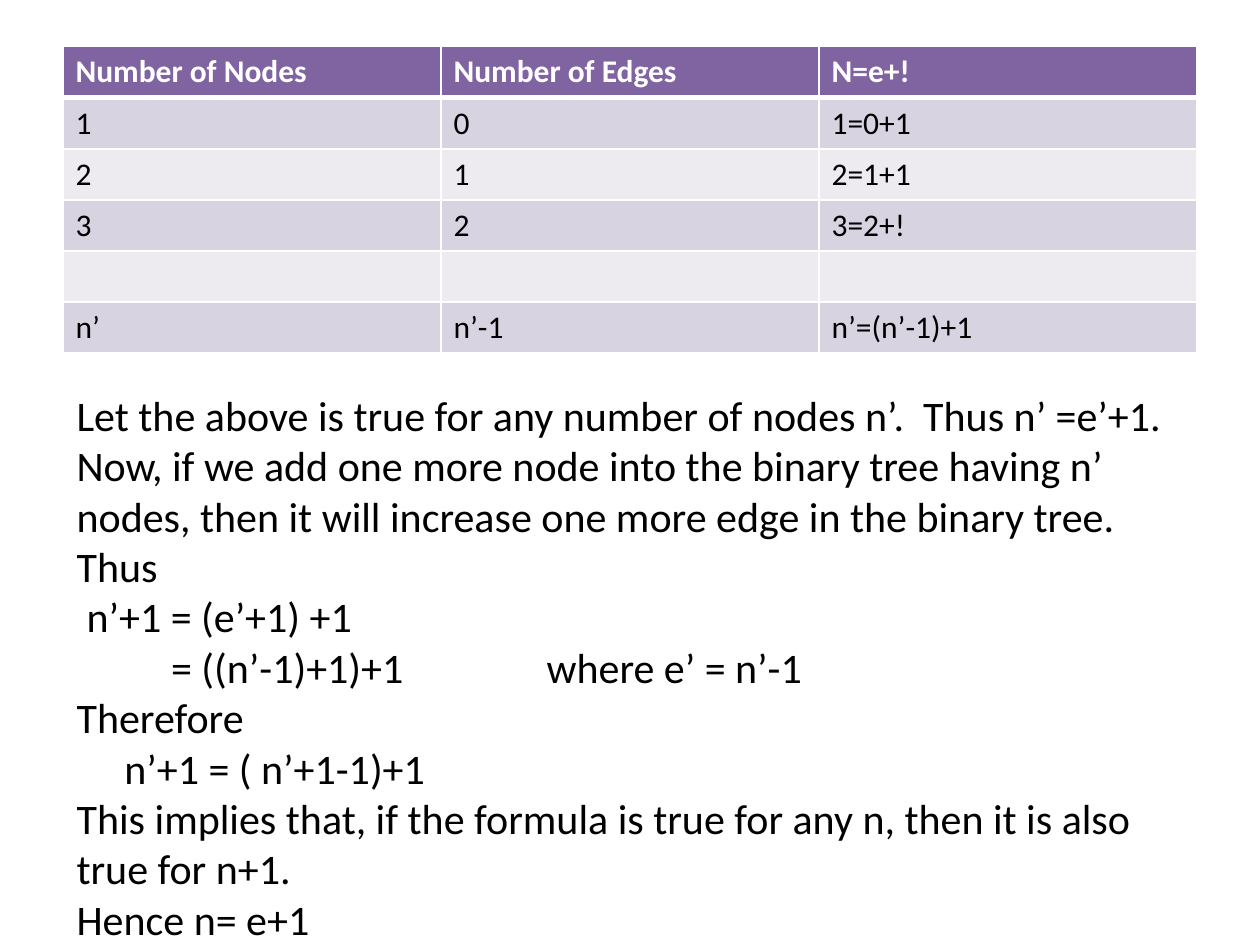
from lxml import etree
from pptx import Presentation
from pptx.dml.color import RGBColor
from pptx.enum.text import MSO_AUTO_SIZE
from pptx.oxml.ns import qn
from pptx.util import Inches, Pt

FIT_SHAPE = MSO_AUTO_SIZE.SHAPE_TO_FIT_TEXT
FONT = "Calibri"
COLORS = {
    "header": "8064A2",
    "odd": "D8D3E0",
    "even": "EDEAF0",
    "white": "FFFFFF",
    "black": "000000",
}


def add_text(paragraph, text, size, color, bold=False):
    run = paragraph.add_run()
    run.text = text
    run.font.name = FONT
    run.font.size = Pt(size)
    run.font.bold = bold
    run.font.color.rgb = RGBColor.from_string(COLORS[color])


def add_border(cell, side, width):
    line = etree.SubElement(cell._tc.get_or_add_tcPr(), qn(f"a:ln{side}"), w=str(Pt(width)))
    fill = etree.SubElement(line, qn("a:solidFill"))
    etree.SubElement(fill, qn("a:srgbClr"), val=COLORS["white"])


prs = Presentation()
prs.slide_width = Inches(10)
prs.slide_height = Inches(7.5)
slide = prs.slides.add_slide(prs.slide_layouts[6])

node_counts = [
    ["Number of Nodes", "Number of Edges", "N=e+!"],
    ["1", "0", "1=0+1"],
    ["2", "1", "2=1+1"],
    ["3", "2", "3=2+!"],
    ["", "", ""],
    ["n’", "n’-1", "n’=(n’-1)+1"],
]
table = slide.shapes.add_table(
    len(node_counts), 3, Inches(0.5), Inches(0.37), Inches(9), Inches(2.43)
).table

for row_index, values in enumerate(node_counts):
    is_header = row_index == 0
    band = "header" if is_header else "odd" if row_index % 2 else "even"
    for column_index, value in enumerate(values):
        cell = table.cell(row_index, column_index)
        add_border(cell, "L", 1)
        add_border(cell, "R", 1)
        add_border(cell, "T", 3 if row_index == 1 else 1)
        add_border(cell, "B", 3 if is_header else 1)
        cell.fill.solid()
        cell.fill.fore_color.rgb = RGBColor.from_string(COLORS[band])
        if value:
            add_text(cell.text_frame.paragraphs[0], value, 18,
                     "white" if is_header else "black", is_header)

proof_steps = [
    ("Let the above is true for any number of nodes n’.  Thus n’ =e’+1.", []),
    ("Now, if we add one more node into the binary tree having n’ nodes, "
     "then it will increase one more edge in the binary tree.  Thus", []),
    ("\tn’+1 = (e’+1) +1", [0.08]),
    ("\t= ((n’-1)+1)+1\twhere e’ = n’-1", [0.75, 3.73]),
    ("Therefore", []),
    ("\tn’+1 = ( n’+1-1)+1", [0.38]),
    ("This implies that, if the formula is true for any n, "
     "then it is also true for n+1.", []),
    ("Hence n= e+1", []),
]
proof = slide.shapes.add_textbox(Inches(0.51), Inches(3.04), Inches(9.06), Inches(4.54)).text_frame
proof.word_wrap = True
proof.auto_size = FIT_SHAPE

for step_index, (step, tab_stops) in enumerate(proof_steps):
    paragraph = proof.add_paragraph() if step_index else proof.paragraphs[0]
    if tab_stops:
        tab_list = etree.SubElement(paragraph._p.get_or_add_pPr(), qn("a:tabLst"))
        for stop in tab_stops:
            etree.SubElement(tab_list, qn("a:tab"), pos=str(Inches(stop)), algn="l")
    add_text(paragraph, step, 24, "black")

prs.save("out.pptx")
